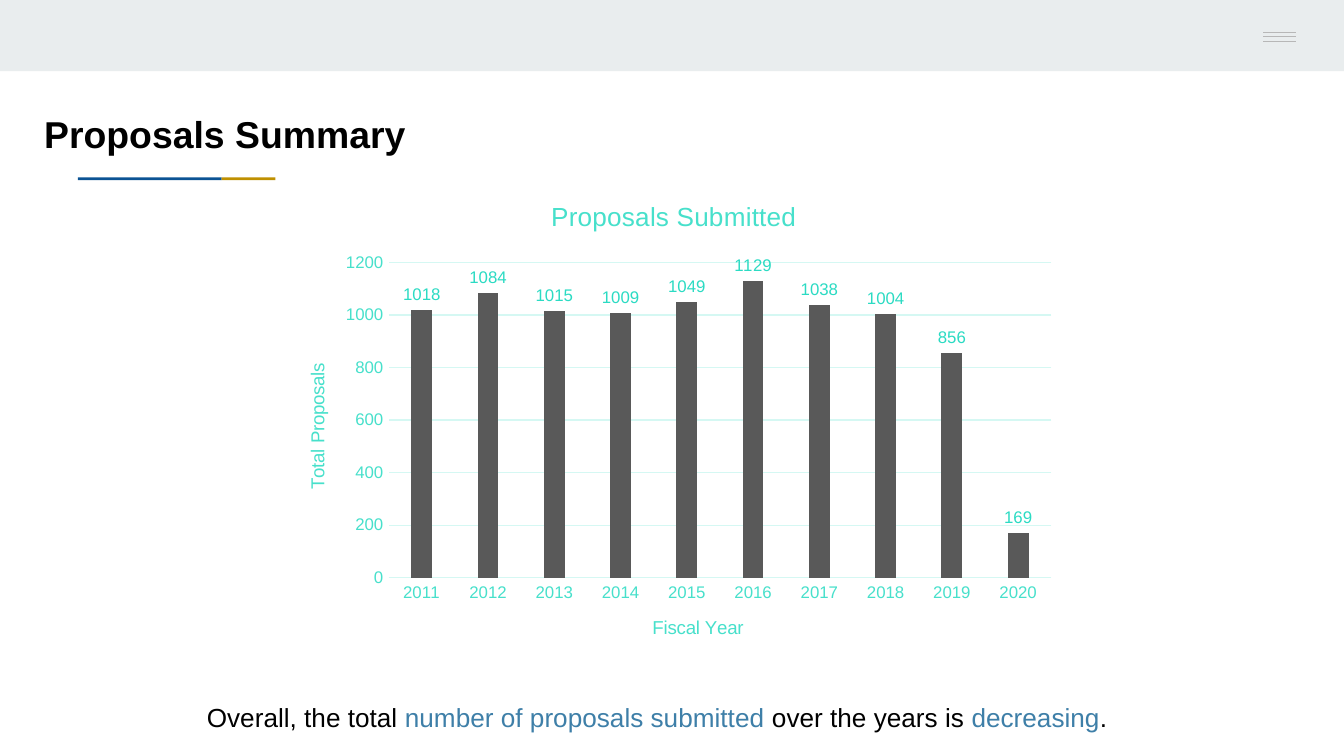
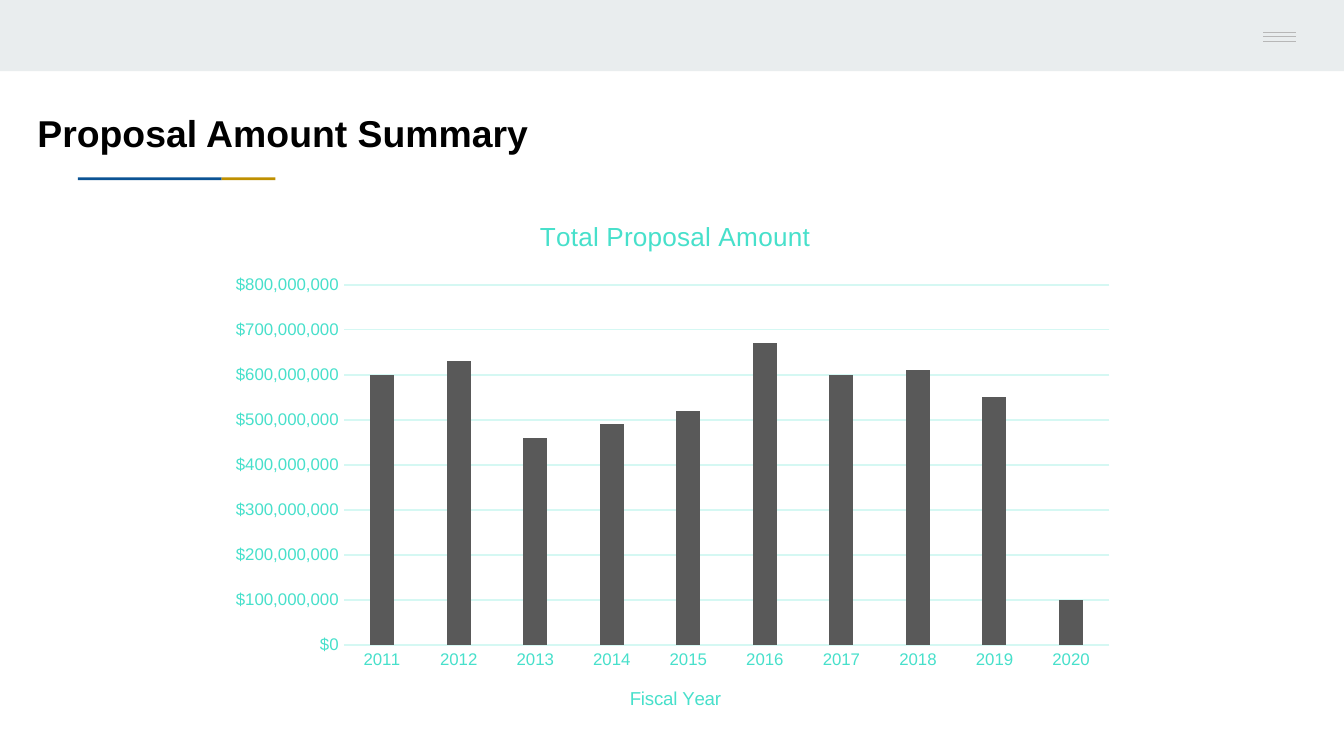
from lxml.etree import SubElement
from pptx import Presentation
from pptx.chart.data import CategoryChartData
from pptx.dml.color import RGBColor
from pptx.enum.chart import XL_CHART_TYPE as ChartType
from pptx.enum.chart import XL_LABEL_POSITION as LabelPosition
from pptx.enum.chart import XL_TICK_MARK as TickMark
from pptx.enum.shapes import MSO_CONNECTOR as Connector
from pptx.enum.shapes import MSO_SHAPE as Shape
from pptx.oxml.ns import qn
from pptx.util import Inches, Pt

BLACK = RGBColor(0x00, 0x00, 0x00)
BAND = RGBColor(0xE9, 0xED, 0xEE)
MENU = RGBColor(0xB7, 0xB7, 0xB7)
BLUE = RGBColor(0x0B, 0x53, 0x94)
GOLD = RGBColor(0xBF, 0x90, 0x00)
ACCENT = RGBColor(0x3E, 0x7F, 0xA8)
TEAL = RGBColor(0x1A, 0x99, 0x88)
AQUA = RGBColor(0x47, 0xE0, 0xCB)
LABEL = RGBColor(0x2B, 0xDB, 0xC3)
GRID = RGBColor(0xD5, 0xF8, 0xF3)
COLUMN = RGBColor(0x59, 0x59, 0x59)
FONT = "Arial"
YEARS = [str(year) for year in range(2011, 2021)]

RECTANGLES = [
    (0, 0, 10, 0.53, BAND),
    (0.58, 1.32, 1.07, 0.02, BLUE),
    (1.65, 1.32, 0.4, 0.02, GOLD),
]

SLIDES = [
    {
        "heading": "Proposals Summary",
        "heading_box": (0.23, 0.78, 3.58, 0.44),
        "chart_box": (2.07, 1.34, 5.87, 3.61),
        "plot": {"x": 0.14, "y": 0.17, "w": 0.84, "h": 0.65},
        "title": ("Proposals Submitted", {"x": 0.34, "y": 0.03}),
        "category_title": ("Fiscal Year", {"x": 0.47, "y": 0.89}),
        "value_title": ("Total Proposals", {"x": 0.03, "y": 0.37}),
        "series": "Series 1",
        "values": [1018, 1084, 1015, 1009, 1049, 1129, 1038, 1004, 856, 169],
        "top": 1200,
        "step": 200,
        "format": "General",
        "labels": True,
        "summary": [
            ("Overall, the total ", BLACK),
            ("number of proposals submitted", ACCENT),
            (" over the years is ", BLACK),
            ("decreasing", ACCENT),
            (".", BLACK),
        ],
    },
    {
        "heading": "Proposal Amount Summary",
        "heading_box": (0.18, 0.77, 3.87, 0.44),
        "chart_box": (1.61, 1.48, 6.78, 4),
        "plot": {"x": 0.14, "y": 0.16, "w": 0.84, "h": 0.67},
        "title": ("Total Proposal Amount", {"x": 0.35, "y": 0.03}),
        "category_title": ("Fiscal Year", {"x": 0.45, "y": 0.9}),
        "value_title": None,
        "series": "Total Proposal Amount",
        "values": [million * 1_000_000 for million in
                   (600, 630, 460, 490, 520, 670, 600, 610, 550, 100)],
        "top": 800_000_000,
        "step": 100_000_000,
        "format": '"$"#,##0',
        "labels": False,
        "summary": [],
    },
]


def add_runs(paragraph, runs, size, bold=False):
    for text, color in runs:
        run = paragraph.add_run()
        run.text = text
        run.font.name = FONT
        run.font.size = Pt(size)
        run.font.bold = bold
        run.font.color.rgb = color


def set_layout(element, place):
    layout = element.find(qn("c:layout"))
    if layout is None:
        layout = SubElement(element, qn("c:layout"))
        element.insert(0, layout)
    manual = SubElement(layout, qn("c:manualLayout"))
    if "w" in place:
        SubElement(manual, qn("c:layoutTarget")).set("val", "inner")
    for side in "xy":
        SubElement(manual, qn(f"c:{side}Mode")).set("val", "edge")
    for side, fraction in place.items():
        SubElement(manual, qn(f"c:{side}")).set("val", str(fraction))


presentation = Presentation()
presentation.slide_width = Inches(10)
presentation.slide_height = Inches(10 * 9 / 16)

for content in SLIDES:
    slide = presentation.slides.add_slide(presentation.slide_layouts[6])

    for *box, color in RECTANGLES:
        shape = slide.shapes.add_shape(Shape.RECTANGLE, *map(Inches, box))
        shape.shadow.inherit = False
        shape.fill.solid()
        shape.fill.fore_color.rgb = color
        shape.line.fill.background()

    for y in (0.24, 0.27, 0.31):
        line = slide.shapes.add_connector(
            Connector.STRAIGHT, Inches(9.4), Inches(y), Inches(9.64), Inches(y))
        line.line.color.rgb = MENU
        line.line.width = Pt(0.75)
        SubElement(line.element.spPr, qn("a:effectLst"))

    texts = [(content["heading_box"], [(content["heading"], BLACK)], 20, True)]
    if content["summary"]:
        texts.append(((1.44, 5.17, 7.11, 0.34), content["summary"], 14, False))
    for box, runs, size, bold in texts:
        frame = slide.shapes.add_textbox(*map(Inches, box)).text_frame
        frame.word_wrap = True
        add_runs(frame.paragraphs[0], runs, size, bold)

    chart_data = CategoryChartData(number_format=content["format"])
    chart_data.categories = YEARS
    chart_data.add_series(content["series"], content["values"])
    chart = slide.shapes.add_chart(
        ChartType.COLUMN_CLUSTERED, *map(Inches, content["chart_box"]), chart_data).chart
    chart.has_legend = False
    chart.font.name = FONT
    chart.font.size = Pt(10)
    chart.font.color.rgb = TEAL
    set_layout(chart.element.chart.plotArea, content["plot"])

    category_axis, value_axis = chart.category_axis, chart.value_axis
    for axis in (category_axis, value_axis):
        axis.major_tick_mark = TickMark.NONE
        axis.minor_tick_mark = TickMark.NONE
        axis.tick_labels.font.name = FONT
        axis.tick_labels.font.size = Pt(9)
        axis.tick_labels.font.color.rgb = AQUA
    value_axis.minimum_scale = 0
    value_axis.maximum_scale = content["top"]
    value_axis.major_unit = content["step"]
    value_axis.tick_labels.number_format = content["format"]
    value_axis.tick_labels.number_format_is_linked = False
    value_axis.format.line.fill.background()
    for line_format in (category_axis.format.line, value_axis.major_gridlines.format.line):
        line_format.color.rgb = GRID
        line_format.width = Pt(0.75)

    titles = [(chart, "chart_title", "title", 14),
              (category_axis, "axis_title", "category_title", 10),
              (value_axis, "axis_title", "value_title", 10)]
    for owner, attribute, key, size in titles:
        if content[key]:
            text, place = content[key]
            title = getattr(owner, attribute)
            add_runs(title.text_frame.paragraphs[0], [(text, AQUA)], size)
            set_layout(title.element, place)

    plot = chart.plots[0]
    plot.gap_width = 219
    plot.overlap = -27
    plot.vary_by_categories = False
    fill = plot.series[0].format.fill
    fill.solid()
    fill.fore_color.rgb = COLUMN
    if content["labels"]:
        labels = plot.series[0].data_labels
        labels.show_value = True
        labels.position = LabelPosition.OUTSIDE_END
        labels.font.name = FONT
        labels.font.size = Pt(9)
        labels.font.color.rgb = LABEL

presentation.save("out.pptx")
